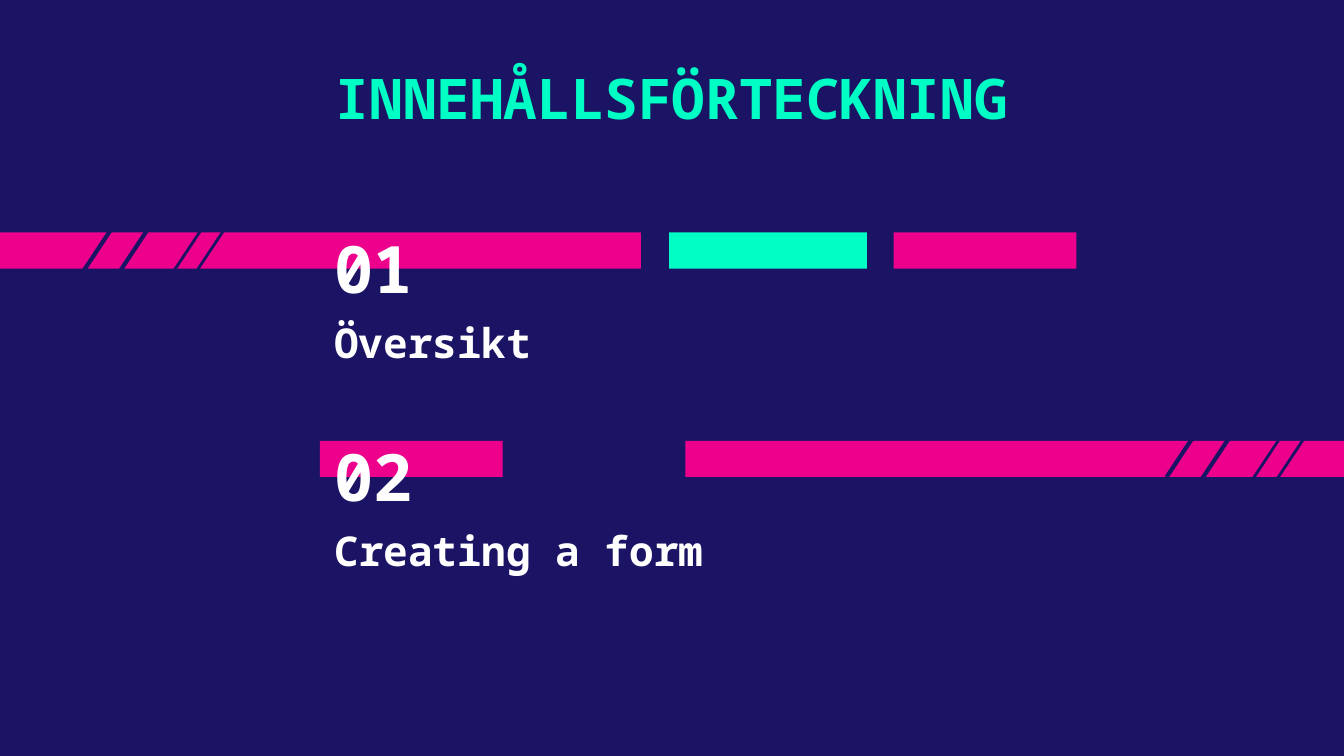
from dataclasses import dataclass

from lxml import etree
from pptx import Presentation
from pptx.dml.color import RGBColor
from pptx.enum.shapes import MSO_CONNECTOR, MSO_SHAPE
from pptx.enum.text import MSO_ANCHOR, PP_ALIGN
from pptx.oxml.ns import qn
from pptx.util import Inches, Pt

LEFT, CENTER = PP_ALIGN.LEFT, PP_ALIGN.CENTER
TOP, BOTTOM = MSO_ANCHOR.TOP, MSO_ANCHOR.BOTTOM
RECTANGLE = MSO_SHAPE.RECTANGLE
STRAIGHT = MSO_CONNECTOR.STRAIGHT


@dataclass(frozen=True)
class Theme:
    navy: RGBColor = RGBColor(0x1B, 0x14, 0x64)
    pink: RGBColor = RGBColor(0xEC, 0x00, 0x8C)
    mint: RGBColor = RGBColor(0x00, 0xFF, 0xC5)
    white: RGBColor = RGBColor(0xFF, 0xFF, 0xFF)
    font: str = "Noto Sans Mono"
    title_size: int = 30
    number_size: int = 35
    heading_size: int = 22


theme = Theme()
presentation = Presentation()
presentation.slide_width = Inches(10)
presentation.slide_height = Inches(10 * 9 / 16)  # widescreen, 16:9
slide = presentation.slides.add_slide(presentation.slide_layouts[6])
slide.background.fill.solid()
slide.background.fill.fore_color.rgb = theme.navy


def add_text(text, left, top, width, height, *, size, color=theme.white,
             align=LEFT, anchor=TOP, inset=0):
    """Add bold text; inset is the margin above and below it."""
    box = slide.shapes.add_textbox(
        Inches(left), Inches(top), Inches(width), Inches(height))
    frame = box.text_frame
    frame.word_wrap = True
    frame.vertical_anchor = anchor
    frame.margin_left = frame.margin_right = Inches(0.1)
    frame.margin_top = frame.margin_bottom = Inches(inset)
    paragraph = frame.paragraphs[0]
    paragraph.alignment = align
    run = paragraph.add_run()
    run.text = text
    run.font.name = theme.font
    run.font.size = Pt(size)
    run.font.bold = True
    run.font.color.rgb = color


# Horizontal bars: left, top, width, color
upper_bar, lower_bar, bar_height = 1.73, 3.28, 0.27
bars = [
    (0, upper_bar, 4.77, theme.pink),
    (6.65, upper_bar, 1.36, theme.pink),
    (2.38, lower_bar, 1.36, theme.pink),
    (5.1, lower_bar, 4.9, theme.pink),
    (4.98, upper_bar, 1.47, theme.mint),
]
for left, top, width, color in bars:
    bar = slide.shapes.add_shape(
        RECTANGLE, Inches(left), Inches(top), Inches(width), Inches(bar_height))
    bar.shadow.inherit = False
    bar.fill.solid()
    bar.fill.fore_color.rgb = color
    bar.line.fill.background()

add_text("INNEHÅLLSFÖRTECKNING", 1.4, 0.37, 7.2, 0.73, size=theme.title_size,
         color=theme.mint, align=CENTER, inset=0.1)

# Entries: number, heading, top and height of the number, heading width
entries = [
    ("01", "Översikt", 1.74, 0.54, 2.37),
    ("02", "Creating a form", 3.2, 0.63, 3.38),
]
for number, heading, top, number_height, heading_width in entries:
    add_text(number, 2.39, top, 2.37, number_height,
             size=theme.number_size, anchor=BOTTOM)
    add_text(heading, 2.39, top + number_height + 0.08, heading_width, 0.47,
             size=theme.heading_size)

# Slashes that cut the bars: right end, top, line width
slashes = [
    (1.03, 1.4, 2.25), (1.19, 1.57, 2.25), (1.53, 1.66, 1.5), (1.7, 1.66, 1.5),
    (9.25, 2.69, 2.25), (9.41, 2.86, 2.25), (9.57, 3.19, 1.5), (9.75, 3.19, 1.5),
]
slash_run, slash_drop = 0.57, 0.86
for right, top, weight in slashes:
    slash = slide.shapes.add_connector(
        STRAIGHT, Inches(right), Inches(top),
        Inches(right - slash_run), Inches(top + slash_drop))
    slash.line.color.rgb = theme.navy
    slash.line.width = Pt(weight)
    etree.SubElement(slash._element.spPr, qn("a:effectLst"))

presentation.save("out.pptx")
